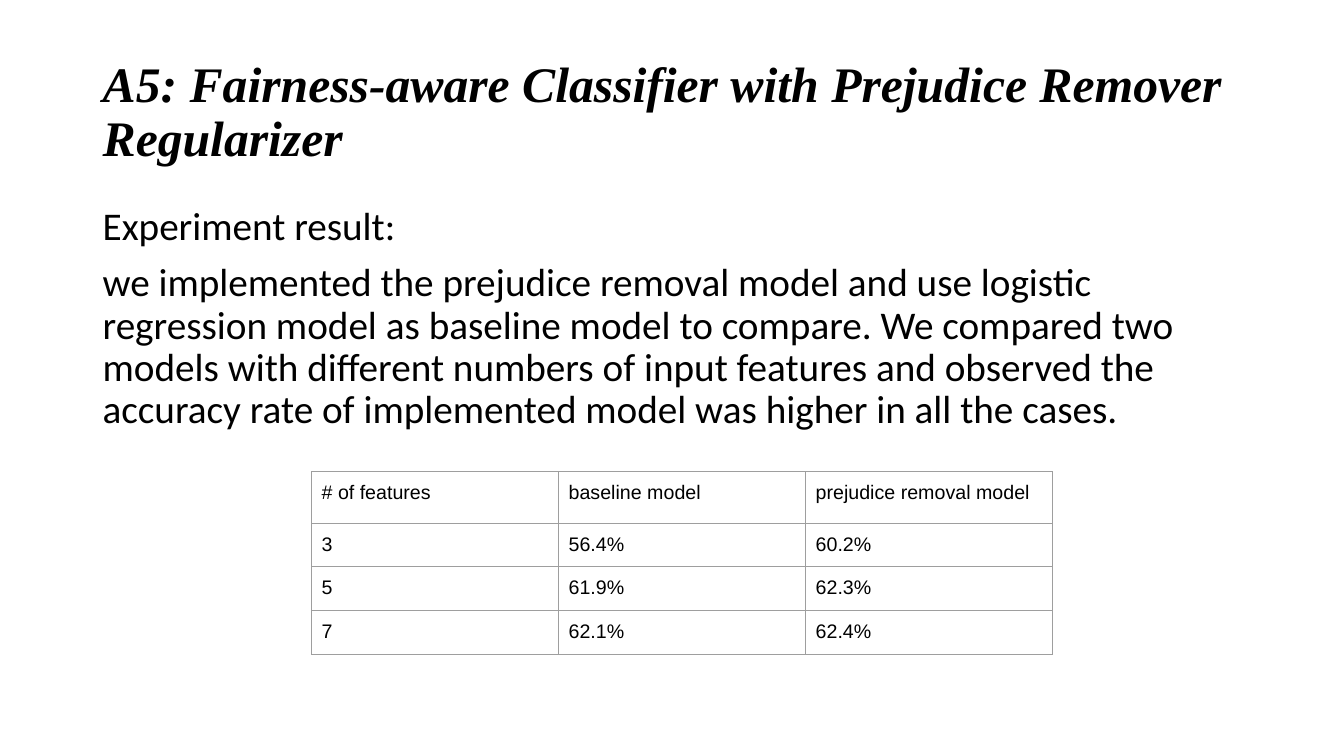
from pptx import Presentation
from pptx.util import Inches, Pt
from pptx.dml.color import RGBColor
from pptx.enum.text import MSO_ANCHOR
from pptx.oxml import parse_xml
from pptx.oxml.ns import nsdecls

COLORS = {"text": "000000", "border": "9E9E9E"}
TITLE = "A5: Fairness-aware Classifier with Prejudice Remover Regularizer"
BODY = [
    "Experiment result:",
    "we implemented the prejudice removal model and use logistic regression model "
    "as baseline model to compare. We compared two models with different numbers "
    "of input features and observed the accuracy rate of implemented model was "
    "higher in all the cases.",
]
RESULTS = [
    ("# of features", "baseline model", "prejudice removal model"),
    ("3", "56.4%", "60.2%"),
    ("5", "61.9%", "62.3%"),
    ("7", "62.1%", "62.4%"),
]
COL_WIDTH = 2.45
ROW_HEIGHTS = [0.51, 0.43, 0.42, 0.42]


def write(p, text, font, size, bold=False, italic=False, spacing=None, before=None):
    r = p.add_run()
    r.text = text
    f = r.font
    f.name, f.size, f.bold, f.italic = font, Pt(size), bold, italic
    f.color.rgb = RGBColor.from_string(COLORS["text"])
    if spacing:
        p.line_spacing = spacing
    if before:
        p.space_before = Pt(before)


def add_box(s, top, height, lines, anchor=MSO_ANCHOR.TOP, **fmt):
    sp = s.shapes.add_textbox(Inches(0.92), Inches(top), Inches(11.5), Inches(height))
    tf = sp.text_frame
    tf.word_wrap = True
    tf.vertical_anchor = anchor
    for i, line in enumerate(lines):
        p = tf.add_paragraph() if i else tf.paragraphs[0]
        write(p, line, spacing=0.9, **fmt)


def add_borders(cell):
    tcPr = cell._tc.get_or_add_tcPr()
    for i, side in enumerate(("lnL", "lnR", "lnT", "lnB")):
        tcPr.insert(i, parse_xml(
            f'<a:{side} {nsdecls("a")} w="{Pt(0.75)}"><a:solidFill>'
            f'<a:srgbClr val="{COLORS["border"]}"/></a:solidFill></a:{side}>'))


def add_results(s):
    cols = len(RESULTS[0])
    table = s.shapes.add_table(
        len(RESULTS), cols, Inches(3.09), Inches(4.68),
        Inches(COL_WIDTH * cols), Inches(sum(ROW_HEIGHTS))).table
    table.first_row = table.horz_banding = False
    for col in table.columns:
        col.width = Inches(COL_WIDTH)
    for row, height, values in zip(table.rows, ROW_HEIGHTS, RESULTS):
        row.height = Inches(height)
        for cell, value in zip(row.cells, values):
            cell.margin_left = cell.margin_right = Inches(0.1)
            cell.margin_top = cell.margin_bottom = Inches(0.1)
            cell.fill.background()
            add_borders(cell)
            write(cell.text_frame.paragraphs[0], value, "Arial", 14)


def main():
    prs = Presentation()
    prs.slide_width, prs.slide_height = Inches(13.33), Inches(7.5)
    s = prs.slides.add_slide(prs.slide_layouts[6])
    add_box(s, 0.4, 1.45, [TITLE], MSO_ANCHOR.MIDDLE,
            font="Times New Roman", size=35.5, bold=True, italic=True)
    add_box(s, 2, 4.76, BODY, font="Calibri", size=28, before=10)
    add_results(s)
    prs.save("out.pptx")


if __name__ == "__main__":
    main()
